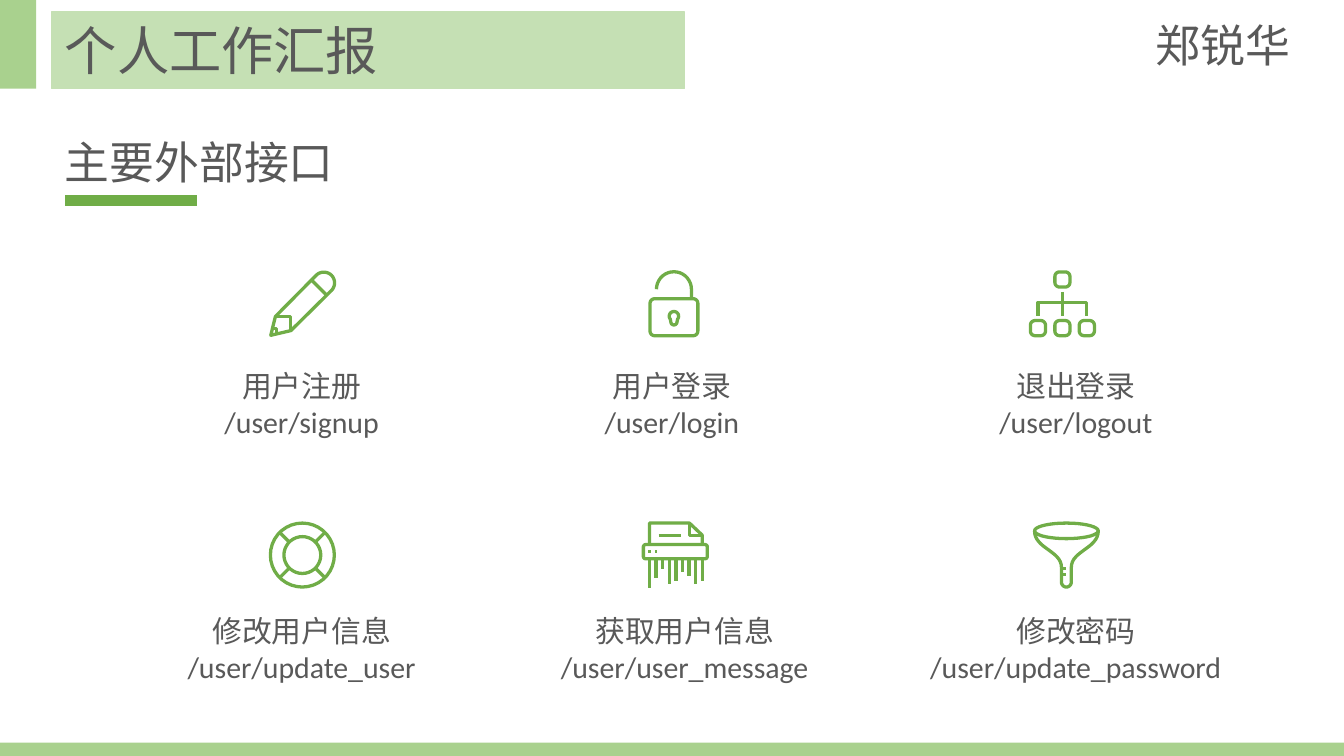
import math
from dataclasses import dataclass

import pptx
import pptx.dml.color
import pptx.enum.shapes
import pptx.enum.text
import pptx.oxml
import pptx.oxml.ns
import pptx.util
from lxml import etree

CELL = pptx.util.Inches(0.1)  # grid: 100 columns by 56.25 rows
COLS, ROWS = 100, 56.25


@dataclass(frozen=True)
class Theme:
    band: str = "A9D18E"
    pale: str = "C5E0B4"
    green: str = "70AD47"
    ink: str = "595959"
    asian: str = "Noto Sans CJK SC"
    head: str = "Arial"
    body: str = "Calibri"
    title: int = 28
    sub: int = 24
    label: int = 16
    stroke: float = 1.75
    rule: int = 6


THEME = Theme()


def grid(*cells):
    return [round(c * CELL) for c in cells]


def color(code):
    return pptx.dml.color.RGBColor.from_string(code)


# Basic parts
def bar(slide, box, fill):
    shape = slide.shapes.add_shape(
        pptx.enum.shapes.MSO_SHAPE.RECTANGLE, *grid(*box))
    shape.shadow.inherit = False
    shape.fill.solid()
    shape.fill.fore_color.rgb = color(fill)
    shape.line.fill.background()
    return shape


def write(shape, lines, size, face, center=False):
    frame = shape.text_frame
    frame.word_wrap = True
    frame.vertical_anchor = pptx.enum.text.MSO_ANCHOR.TOP
    frame.text = "\n".join(lines)
    align = pptx.enum.text.PP_ALIGN
    for para in frame.paragraphs:
        para.alignment = align.CENTER if center else align.LEFT
        para.font.size = pptx.util.Pt(size)
        para.font.color.rgb = color(THEME.ink)
        para.font.name = face
        props = para._p.pPr.find(pptx.oxml.ns.qn("a:defRPr"))
        asian = etree.SubElement(props, pptx.oxml.ns.qn("a:ea"))
        asian.set("typeface", THEME.asian)


def text(slide, box, lines, size, face, center=False):
    write(slide.shapes.add_textbox(*grid(*box)), lines, size, face, center)


# Icon strokes, in a square of 50 units
def arc(x, y, wide, high, start, end):
    steps = max(4, abs(end - start) // 10)
    turns = [math.radians(start + (end - start) * i / steps)
             for i in range(steps + 1)]
    return [(x + wide * math.cos(t), y + high * math.sin(t)) for t in turns]


def bend(a, b, c, d, steps=16):
    def mix(t, k):
        s = 1 - t
        return (s**3 * a[k] + 3 * s * s * t * b[k]
                + 3 * s * t * t * c[k] + t**3 * d[k])
    return [(mix(i / steps, 0), mix(i / steps, 1)) for i in range(steps + 1)]


def rounded(x, y, w, h, r):
    points = (arc(x + r, y + r, r, r, 180, 270)
              + arc(x + w - r, y + r, r, r, 270, 360)
              + arc(x + w - r, y + h - r, r, r, 0, 90)
              + arc(x + r, y + h - r, r, r, 90, 180))
    return points + points[:1]


def pencil():
    return [[(1.5, 48.5), (5, 34.5)] + arc(41, 9.5, 8, 8, 225, 405)
            + [(16.5, 45), (1.5, 48.5)],
            [(31.8, 7.3), (43.2, 18.7)],
            [(5, 34.5), (16.3, 34.5), (16.3, 45)],
            [(3, 43.5), (6, 43.5), (6, 47)]]


def lock():
    hole = arc(25, 34.3, 3.5, 3.5, 140, 400) + arc(25, 38.5, 2.3, 2.3, 0, 180)
    return [rounded(7.2, 21.3, 35.6, 27.5, 3.5), hole + hole[:1],
            [*arc(25, 14.2, 13, 13, 180, 360), (38, 21.3)]]


def tree():
    spots = [(25, 7), (6.8, 43.2), (25, 43.2), (43.2, 43.2)]
    return [rounded(x - 5.6, y - 5.6, 11.2, 11.2, 3.4) for x, y in spots] + [
        [(6.8, 34), (6.8, 24), (43.2, 24), (43.2, 34)],
        [(25, 16.2), (25, 34)]]


def ring():
    def spoke(turn):
        return [arc(25, 25, r, r, turn, turn)[0] for r in (13.7, 23.8)]
    return ([arc(25, 25, r, r, 0, 360) for r in (13.7, 23.8)]
            + [spoke(turn) for turn in (45, 135, 225, 315)])


def shredder():
    ends = [49.5, 42, 35.5, 46.5, 44.5, 37.5, 40.5, 46.5, 44.5]
    strips = [[(5.8 + 4.9 * i, 28), (5.8 + 4.9 * i, end)]
              for i, end in enumerate(ends)]
    return strips + [
        rounded(1.2, 17.2, 47.6, 10.6, 1.8),
        [(5.8, 17), (5.8, 1.2), (35.5, 1.2), (45, 10.2), (45, 17)],
        [(35.5, 1.2), (35.5, 10.2), (45, 10.2)],
        [(12.5, 10.2), (29, 10.2)],
        [(5, 22.4), (6.8, 22.4)], [(9.8, 22.4), (11.6, 22.4)]]


def funnel():
    left = bend((1.3, 7), (1.3, 20), (21.3, 22), (21.3, 34))
    right = [(50 - x, y) for x, y in reversed(left)]
    return [arc(25, 7, 23.7, 5.8, 0, 360),
            left + arc(25, 45, 3.7, 3.8, 180, 0) + right,
            [(21.3, 35), (24.5, 35)], [(21.3, 39.3), (24.5, 39.3)]]


def icon(slide, left, top, strokes):
    unit = CELL / 10
    paths = [[(round(left * CELL + x * unit), round(top * CELL + y * unit))
              for x, y in stroke] for stroke in strokes]
    pen = slide.shapes.build_freeform(*paths[0][0])
    for points in paths:
        pen.move_to(*points[0])
        pen.add_line_segments(points[1:], close=False)
    shape = pen.convert_to_shape()
    shape.shadow.inherit = False
    shape.fill.background()
    shape.line.color.rgb = color(THEME.green)
    shape.line.width = pptx.util.Pt(THEME.stroke)


# Regions
def header(slide, box):
    x, y, w, h = box
    bar(slide, (x, y, 2.7, h), THEME.band)
    title = bar(slide, (x + 3.85, y + 0.9, 47.1, h - 0.9), THEME.pale)
    title.line.color.rgb = color(THEME.pale)
    title.line.width = pptx.util.Pt(0.75)
    write(title, ["个人工作汇报"], THEME.title, THEME.asian)
    text(slide, (x + w - 15, y + 0.8, 12.1, 5), ["郑锐华"],
         THEME.sub, THEME.head)


def section(slide, box):
    x, y, w, h = box
    text(slide, (x, y, w, h), ["主要外部接口"], THEME.sub, THEME.head)
    rule = slide.shapes.add_connector(
        pptx.enum.shapes.MSO_CONNECTOR.STRAIGHT,
        *grid(x + 1, y + h + 0.4, x + 10.8, y + h + 0.4))
    rule.line.color.rgb = color(THEME.green)
    rule.line.width = pptx.util.Pt(THEME.rule)
    etree.SubElement(rule._element.spPr, pptx.oxml.ns.qn("a:effectLst"))


def card(slide, box, shift, strokes, lines):
    x, y, w, h = box
    icon(slide, x + w / 2 - 2.5 + shift, y, strokes)
    text(slide, (x, y + h - 6.4, w, 6.4), lines, THEME.label, THEME.body, True)


def main():
    deck = pptx.Presentation()
    deck.slide_width, deck.slide_height = grid(COLS, ROWS)
    slide = deck.slides.add_slide(deck.slide_layouts[6])

    bar(slide, (0, ROWS - 1, COLS, 1), THEME.band)
    header(slide, (0, 0, COLS, 6.6))
    section(slide, (3.85, 9.5, 77.3, 5))

    # Cards: left, width, icon shift from the middle, icon, name, route
    rows = [
        (20.1, 13.15, [
            (10.45, 24, 0.05, pencil, "用户注册", "/user/signup"),
            (27.8, 44.4, 0.15, lock, "用户登录", "/user/login"),
            (66.6, 26.9, -1, tree, "退出登录", "/user/logout")]),
        (38.8, 12.7, [
            (10.45, 24, 0.05, ring, "修改用户信息", "/user/update_user"),
            (35.65, 30.6, -0.7, shredder, "获取用户信息", "/user/user_message"),
            (64.75, 30.6, -0.7, funnel, "修改密码", "/user/update_password")]),
    ]
    for top, high, cards in rows:
        for left, wide, shift, draw, *lines in cards:
            card(slide, (left, top, wide, high), shift, draw(), lines)

    deck.save("out.pptx")


if __name__ == "__main__":
    main()
